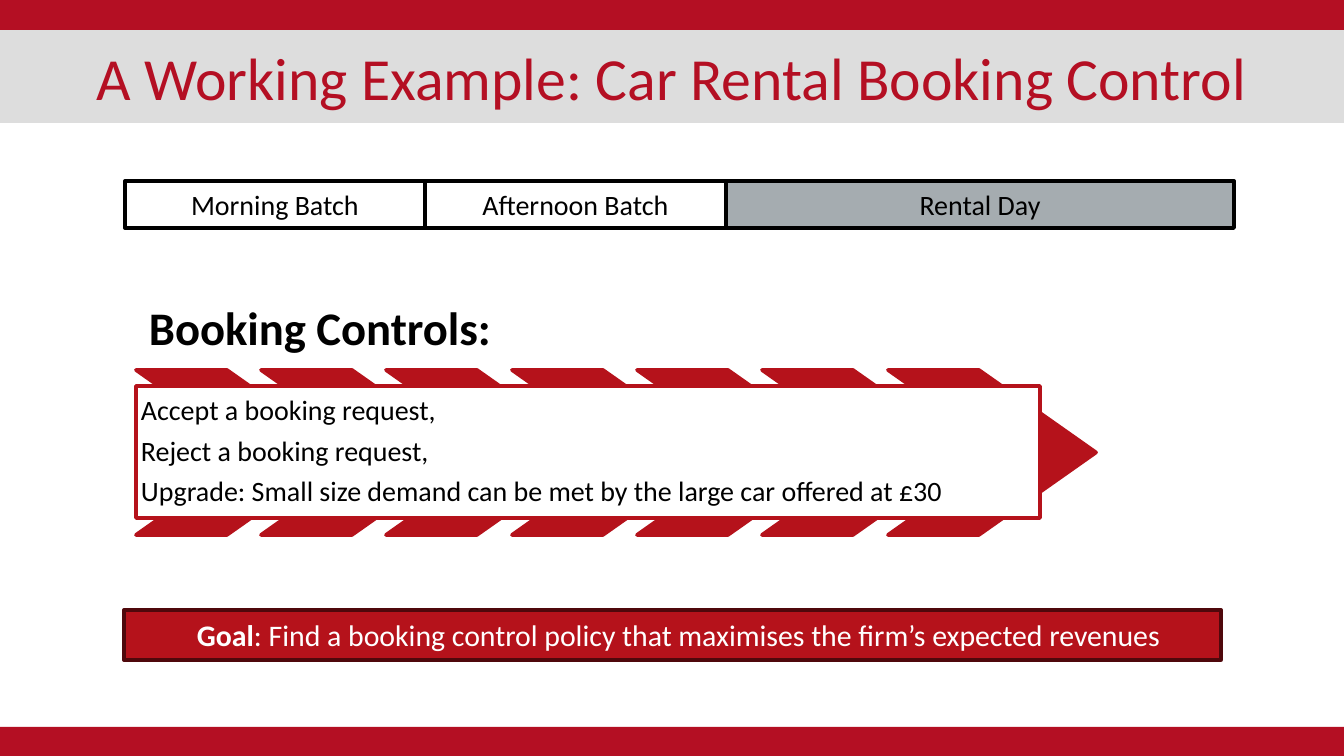
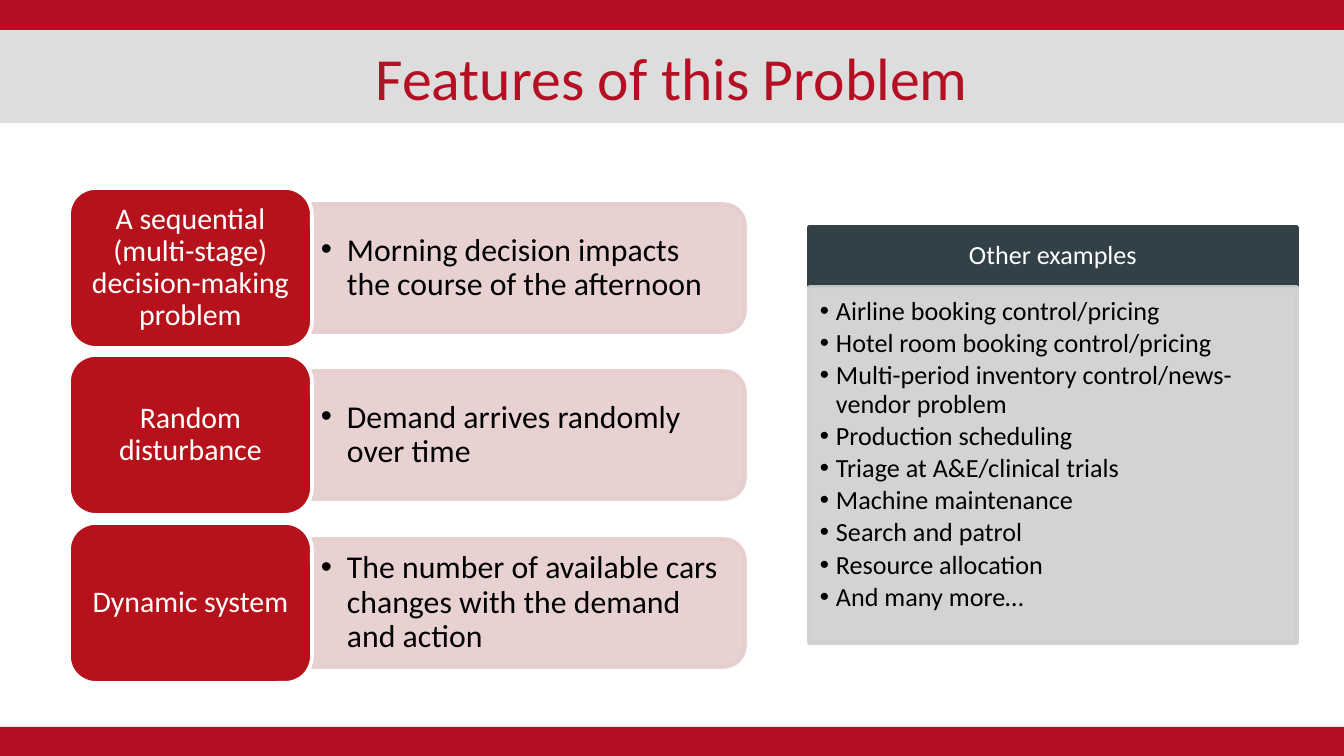
from dataclasses import dataclass

import lxml.etree
import pptx
import pptx.dml.color
import pptx.enum.shapes
import pptx.enum.text
import pptx.oxml.ns
import pptx.util

SHAPE = pptx.enum.shapes.MSO_SHAPE
ALIGN = pptx.enum.text.PP_ALIGN
ANCHOR = pptx.enum.text.MSO_ANCHOR
EMU_PER_PX = 914400 / 134.4
WIDTH, HEIGHT = 1344, 756


@dataclass(frozen=True)
class Theme:
    font: str = "Calibri"
    band: str = "B40F23"
    title_fill: str = "DDDDDD"
    red: str = "B5121B"
    dark_red: str = "4F080C"
    pink: str = "E5CCCD"
    slate: str = "324147"
    gray: str = "A5ACB0"
    light_gray: str = "CECFCF"
    black: str = "000000"
    white: str = "FFFFFF"
    title_size: int = 32
    heading_size: int = 25
    detail_size: int = 17
    label_size: int = 16
    body_size: int = 15
    list_size: int = 14
    line_width: int = 2
    tight: float = 0.9


def emu(px):
    return pptx.util.Emu(round(px * EMU_PER_PX))


def rgb(color):
    return pptx.dml.color.RGBColor.from_string(color)


class SlideBuilder:
    """Holds the theme and the slide being drawn."""

    def __init__(self, deck, theme):
        self.deck = deck
        self.theme = theme
        self.page = None

    def new_page(self, title):
        self.page = self.deck.slides.add_slide(self.deck.slide_layouts[1])
        if len(self.deck.slides) == 1:
            self.add_master_bands()
        box = self.page.shapes.title
        self.place(box, 0, 30, WIDTH, 93)
        self.paint(box, self.theme.title_fill)
        self.fill_text(box, [title], self.theme.title_size, self.theme.band,
                       insets=(0, 0, 0, 0))

    def add_master_bands(self):
        """Draw the edge bands and hand them to the slide master."""
        for number, (top, height) in enumerate([(0, 31), (727, 29)]):
            band = self.shape(SHAPE.RECTANGLE, 0, top, WIDTH, height, self.theme.band)
            band.element.nvSpPr.cNvPr.set("id", str(100 + number))
            self.deck.slide_master.shapes.element.append(band.element)

    def place(self, box, left, top, width, height):
        box.left, box.top = emu(left), emu(top)
        box.width, box.height = emu(width), emu(height)

    def paint(self, box, fill=None, line=None, opacity=100):
        if fill:
            box.fill.solid()
            box.fill.fore_color.rgb = rgb(fill)
        else:
            box.fill.background()
        if line:
            box.line.color.rgb = rgb(line)
            box.line.width = pptx.util.Pt(self.theme.line_width)
        else:
            box.line.fill.background()
        if opacity < 100:
            for color in box.element.spPr.iter(pptx.oxml.ns.qn("a:srgbClr")):
                alpha = lxml.etree.SubElement(color, pptx.oxml.ns.qn("a:alpha"))
                alpha.set("val", str(opacity * 1000))

    def shape(self, kind, left, top, width, height, fill=None, line=None, opacity=100):
        box = self.page.shapes.add_shape(
            kind, emu(left), emu(top), emu(width), emu(height))
        box.shadow.inherit = False
        self.paint(box, fill, line, opacity)
        return box

    def right_tab(self, left, top, width, height, color):
        """A bar rounded at its right end: a turned shape with two round corners."""
        shift = (width - height) / 2
        box = self.shape(SHAPE.ROUND_2_SAME_RECTANGLE, left + shift, top - shift,
                         height, width, color, color, opacity=90)
        box.rotation = 90

    def text(self, left, top, width, height, paragraphs, size, **style):
        box = self.page.shapes.add_textbox(
            emu(left), emu(top), emu(width), emu(height))
        self.fill_text(box, paragraphs, size, self.theme.black, **style)

    def body(self, left, top, width, height, fill, line, paragraphs, opacity=100, **style):
        """Bring the body placeholder to the front and fill it."""
        box = self.page.placeholders[1]
        self.page.shapes.element.append(box.element)
        self.place(box, left, top, width, height)
        self.paint(box, fill, line, opacity)
        self.fill_text(box, paragraphs, color=self.theme.black, **style)

    def fill_text(self, box, paragraphs, size, color, align=ALIGN.CENTER,
                  anchor=ANCHOR.MIDDLE, insets=(13, 7, 13, 7), spacing=1.0,
                  after=0.0, margin=0, bullet=False):
        """Each paragraph is a string or a list of (text, bold) runs."""
        frame = box.text_frame
        frame.word_wrap = True
        frame.auto_size = pptx.enum.text.MSO_AUTO_SIZE.NONE
        frame.vertical_anchor = anchor
        (frame.margin_left, frame.margin_top,
         frame.margin_right, frame.margin_bottom) = map(emu, insets)
        for index, content in enumerate(paragraphs):
            para = frame.add_paragraph() if index else frame.paragraphs[0]
            para.alignment = align
            para.line_spacing = spacing
            para.space_before = pptx.util.Pt(0)
            para.space_after = pptx.util.Pt(size * after)
            self.indent(para, margin, bullet)
            runs = [(content, False)] if isinstance(content, str) else content
            for words, bold in runs:
                span = para.add_run()
                span.text = words
                span.font.name = self.theme.font
                span.font.size = pptx.util.Pt(size)
                span.font.bold = bold
                span.font.color.rgb = rgb(color)

    def indent(self, para, margin, bullet):
        qn = pptx.oxml.ns.qn
        properties = para._p.get_or_add_pPr()
        properties.set("marL", str(emu(margin)))
        properties.set("indent", str(-emu(margin) if bullet else 0))
        if not bullet:
            lxml.etree.SubElement(properties, qn("a:buNone"))
            return
        color = lxml.etree.SubElement(properties, qn("a:buClr"))
        lxml.etree.SubElement(color, qn("a:srgbClr")).set("val", self.theme.black)
        lxml.etree.SubElement(properties, qn("a:buFont")).set("typeface", "Arial")
        lxml.etree.SubElement(properties, qn("a:buChar")).set("char", "•")


def build_booking_page(builder):
    theme = builder.theme
    builder.new_page("A Working Example: Car Rental Booking Control")

    # Timeline
    left = 125
    for label, width, fill in [("Morning Batch", 300, None),
                               ("Afternoon Batch", 301, None),
                               ("Rental Day", 508, theme.gray)]:
        period = builder.shape(SHAPE.RECTANGLE, left, 181, width, 47, fill, theme.black)
        builder.fill_text(period, [label], theme.body_size, theme.black)
        left += width

    # Booking controls over a row of chevrons
    builder.text(136, 288, 892, 81, [[("Booking Controls:", True)]],
                 theme.heading_size, align=ALIGN.LEFT, anchor=ANCHOR.BOTTOM,
                 insets=(13, 13, 13, 13), spacing=theme.tight, after=0.35)
    for step in range(7):
        chevron = builder.shape(SHAPE.CHEVRON, 136 + step * 752 // 6, 370, 208, 165,
                                theme.red, theme.red)
        chevron.adjustments[0] = 0.71
    builder.body(136, 386, 904, 132, theme.white, theme.red,
                 ["Accept a booking request,",
                  "Reject a booking request,",
                  "Upgrade: Small size demand can be met by the large car offered at £30"],
                 size=theme.body_size, align=ALIGN.LEFT, insets=(5, 5, 5, 5),
                 spacing=theme.tight, after=0.35)

    # Goal
    goal = builder.shape(SHAPE.RECTANGLE, 124, 610, 1097, 50, theme.red, theme.dark_red)
    builder.fill_text(goal, [[("Goal", True),
                              (": Find a booking control policy that maximises "
                               "the firm’s expected revenues", False)]],
                      theme.label_size, theme.white, align=ALIGN.LEFT, margin=60)


def build_features_page(builder):
    theme = builder.theme
    builder.new_page("Features of this Problem")

    # Features with their details
    features = [
        ("A sequential (multi-stage) decision-making problem",
         "Morning decision impacts the course of the afternoon"),
        ("Random disturbance", "Demand arrives randomly over time"),
        ("Dynamic system",
         "The number of available cars changes with the demand and action"),
    ]
    for row, (feature, detail) in enumerate(features):
        top = 188 + row * 335 // 2
        builder.right_tab(312, top + 16, 433, 128, theme.pink)
        builder.text(312, top + 22, 426, 116, [detail], theme.detail_size,
                     align=ALIGN.LEFT, insets=(9, 5, 9, 5), spacing=theme.tight,
                     after=0.15, margin=26, bullet=True)
        card = builder.shape(SHAPE.ROUNDED_RECTANGLE, 69, top, 243, 160,
                             theme.red, theme.white)
        builder.fill_text(card, [feature], theme.label_size, theme.white,
                          insets=(9, 4, 9, 4), spacing=theme.tight, after=0.35)

    # Other examples
    header = builder.shape(SHAPE.RECTANGLE, 809, 227, 488, 59, theme.slate, theme.slate)
    builder.fill_text(header, ["Other examples"], theme.list_size, theme.white,
                      insets=(15, 8, 15, 8), spacing=theme.tight, after=0.35)
    builder.body(809, 287, 488, 356, theme.light_gray, theme.light_gray,
                 ["Airline booking control/pricing",
                  "Hotel room booking control/pricing",
                  "Multi-period inventory control/news-vendor problem",
                  "Production scheduling",
                  "Triage at A&E/clinical trials",
                  "Machine maintenance",
                  "Search and patrol",
                  "Resource allocation",
                  "And many more…"],
                 opacity=90, size=theme.list_size, align=ALIGN.LEFT,
                 anchor=ANCHOR.TOP, insets=(11, 11, 15, 16), spacing=theme.tight,
                 after=0.15, margin=16, bullet=True)


def main():
    deck = pptx.Presentation()
    deck.slide_width, deck.slide_height = emu(WIDTH), emu(HEIGHT)
    builder = SlideBuilder(deck, Theme())
    build_booking_page(builder)
    build_features_page(builder)
    deck.save("out.pptx")


if __name__ == "__main__":
    main()
